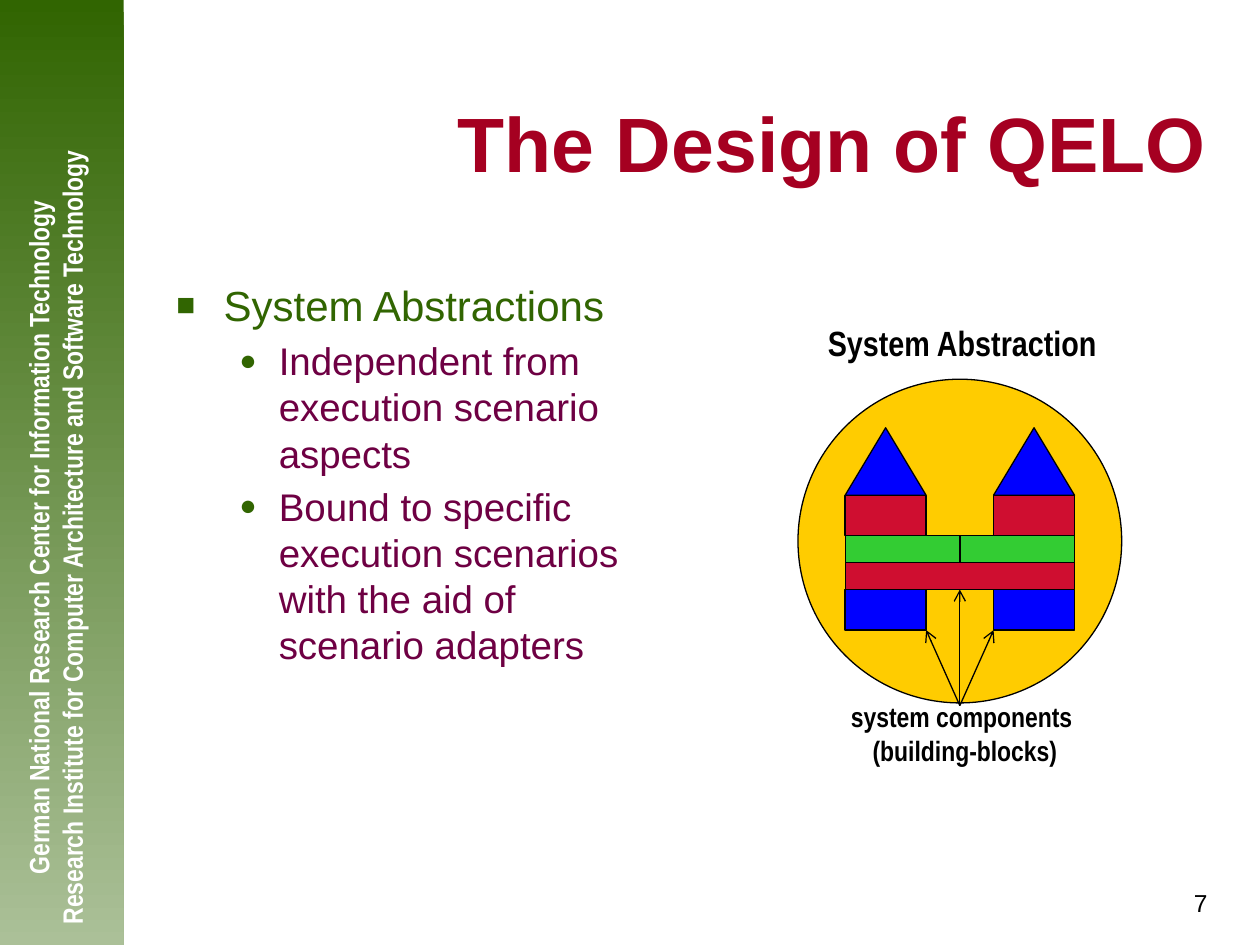
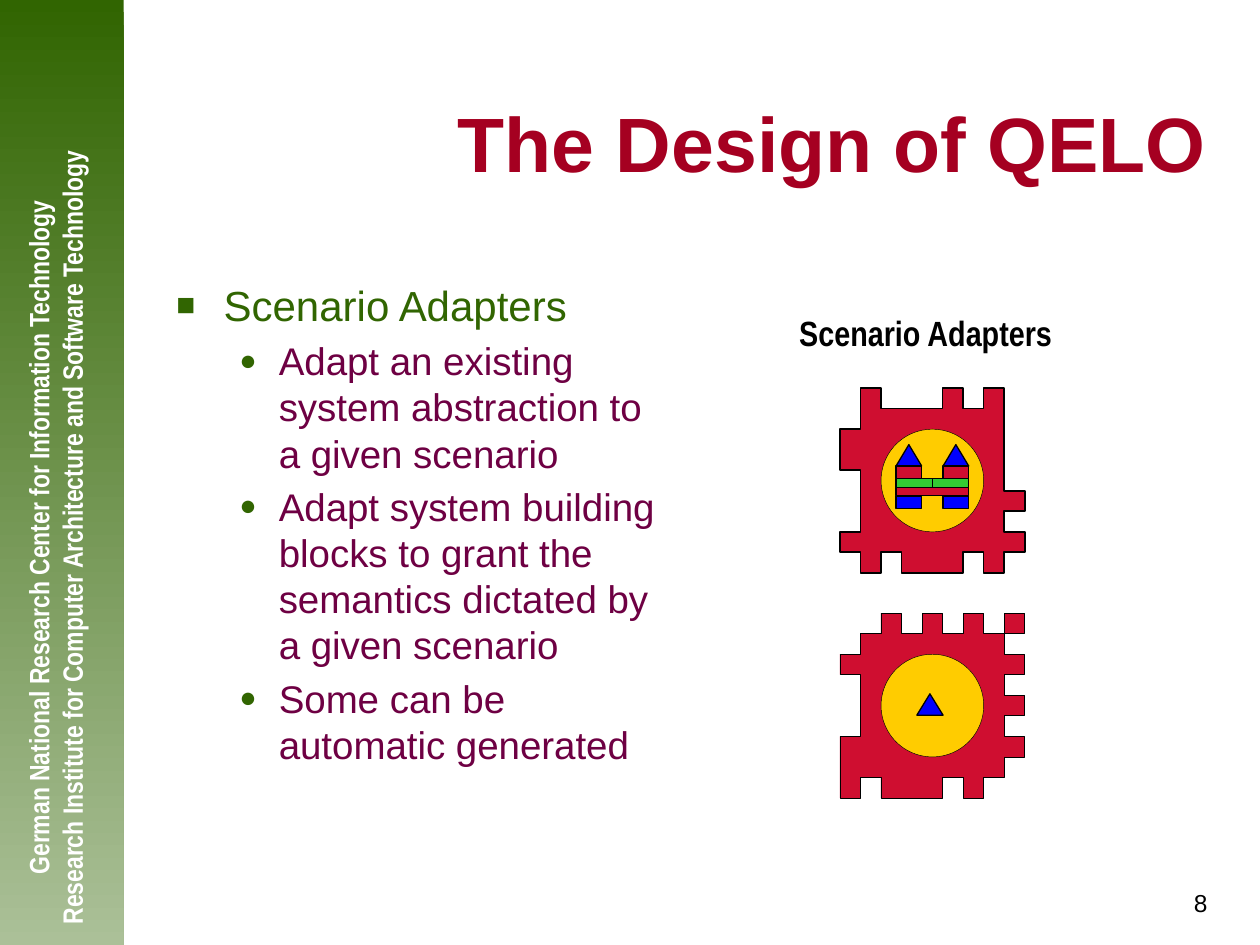
from pptx import Presentation
from pptx.dml.color import RGBColor
from pptx.enum import shapes, text
from pptx.oxml import ns, xmlchemy
from pptx import util as u

COLORS = {
    "band_top": "316501", "band_bottom": "ABC098", "title": "A50021",
    "topic": "316501", "detail": "6E0043", "circle": "FFCC00",
    "blue": "0000FF", "red": "CF0E30", "green": "33CC33",
    "black": "000000", "white": "FFFFFF",
}
SANS, NARROW = "Arial", "Arial Narrow"
TITLE_BOX = (93.6, 36, 603.4, 90)
BODY_BOX = (93.6, 156.2, 296, 336)
NUMBER_BOX = (547.2, 504, 149.8, 23.8)
BAND_BOX = (0, 0, 70.6, 540)
STRAPLINE_BOX = (-199.4, 284.4, 461.6, 45.4)
STRAPLINE = ("German National Research Center for Information Technology\n"
             "Research Institute for Computer Architecture and Software Technology")
CIRCLE_UNITS, HOUSE_UNITS = 24, (17, 15)
HOUSE_OFFSET = (3.5, 3.6)
GRID = 11.73
BUILDING_BLOCKS = [
    ("TRIANGLE", "blue", 0, 0, 6, 5), ("RECTANGLE", "red", 0, 5, 6, 3),
    ("TRIANGLE", "blue", 11, 0, 6, 5), ("RECTANGLE", "red", 11, 5, 6, 3),
    ("RECTANGLE", "green", 0, 8, 8.5, 2), ("RECTANGLE", "green", 8.5, 8, 8.5, 2),
    ("RECTANGLE", "blue", 0, 12, 6, 3), ("RECTANGLE", "blue", 11, 12, 6, 3),
    ("RECTANGLE", "red", 0, 10, 17, 2),
]
ABSTRACTION_ADAPTER = (
    "71 70 80 85 95 96 86 87 97 98 88 89 79 78 68 69 39 38 28 29 19 18 "
    "08 07 17 14 04 02 12 10 20 21 51 50 60 61")
BLOCK_ADAPTER = (
    "11 21 20 30 31 41 40 50 51 61 60 70 71 81 80 90 91 81 82 92 93 83 84 "
    "94 95 85 86 96 97 87 88 78 79 69 68 58 59 29 28 18 19 09 06 16 13 03 02 12")


def rgb(name):
    """Look up a named colour."""
    return RGBColor.from_string(COLORS[name])


def points(*lengths):
    """Convert numbers to point lengths."""
    return [u.Pt(length) for length in lengths]


def add_xml(parent, tag, **attributes):
    """Append a drawing element with the given attributes."""
    element = xmlchemy.OxmlElement(tag)
    for name, value in attributes.items():
        element.set(name, value)
    parent.append(element)
    return element


def format_text(paragraph, size, color, font=SANS, bold=False):
    """Format every run of a paragraph."""
    for run in paragraph.runs:
        run.font.size = u.Pt(size)
        run.font.name = font
        run.font.bold = bold
        run.font.color.rgb = rgb(color)


def place(shape, box):
    """Move a shape to a box."""
    shape.left, shape.top, shape.width, shape.height = points(*box)


def style_shape(shape, color, line_width):
    """Give a shape a flat fill and a black outline."""
    shape.shadow.inherit = False
    shape.fill.solid()
    shape.fill.fore_color.rgb = rgb(color)
    shape.line.color.rgb = rgb("black")
    shape.line.width = u.Pt(line_width)


def add_figure(slide, kind, color, box, line_width=0.75):
    """Add a filled preset shape."""
    shape = slide.shapes.add_shape(
        getattr(shapes.MSO_SHAPE, kind if kind != "TRIANGLE" else "ISOSCELES_TRIANGLE"),
        *points(*box))
    style_shape(shape, color, line_width)
    return shape


def add_label(slide, box, words, size, color="black", font=NARROW, bold=True,
              align="CENTER", wrap=False):
    """Add a text box whose lines share one format."""
    label = slide.shapes.add_textbox(*points(*box))
    frame = label.text_frame
    frame.text = words
    frame.word_wrap = wrap
    frame.vertical_anchor = text.MSO_ANCHOR.MIDDLE
    for paragraph in frame.paragraphs:
        paragraph.alignment = getattr(text.PP_ALIGN, align)
        format_text(paragraph, size, color, font, bold)
    return label


def add_band(slide):
    """Put the gradient band and strapline on the layout of a slide."""
    band = slide.shapes.add_shape(shapes.MSO_SHAPE.RECTANGLE, *points(*BAND_BOX))
    band.shadow.inherit = False
    band.line.fill.background()
    band.fill.gradient()
    band.fill.gradient_angle = 270
    for stop, name in zip(band.fill.gradient_stops, ("band_top", "band_bottom")):
        stop.color.rgb = rgb(name)
    strapline = add_label(slide, STRAPLINE_BOX, STRAPLINE, 16, "white", wrap=True)
    strapline.rotation = 270
    for shape in (band, strapline):
        slide.slide_layout.shapes.element.append(shape.element)


def add_title(slide, words):
    """Fill the title placeholder."""
    title = slide.shapes.title
    place(title, TITLE_BOX)
    frame = title.text_frame
    frame.text = words
    frame.auto_size = text.MSO_AUTO_SIZE.NONE
    frame.vertical_anchor = text.MSO_ANCHOR.MIDDLE
    frame.paragraphs[0].alignment = text.PP_ALIGN.RIGHT
    format_text(frame.paragraphs[0], 44, "title", bold=True)


def add_bullet(paragraph, character, margin, hanging):
    """Give a paragraph a hanging green bullet."""
    properties = paragraph._p.get_or_add_pPr()
    properties.set("marL", str(u.Pt(margin)))
    properties.set("indent", str(-u.Pt(hanging)))
    add_xml(add_xml(properties, "a:buClr"), "a:srgbClr", val=COLORS["topic"])
    add_xml(properties, "a:buSzPct", val="75000")
    add_xml(properties, "a:buFont", typeface=SANS)
    add_xml(properties, "a:buChar", char=character)


def add_body(slide, topic, details):
    """Fill the body placeholder with a topic and its details."""
    body = slide.placeholders[1]
    place(body, BODY_BOX)
    frame = body.text_frame
    frame.text = "\n".join([topic, *details])
    frame.auto_size = text.MSO_AUTO_SIZE.NONE
    heading, *items = frame.paragraphs
    heading.space_before = u.Pt(6)
    add_bullet(heading, "■", 27, 27)
    format_text(heading, 24, "topic")
    for paragraph in items:
        paragraph.level = 1
        paragraph.space_before = u.Pt(4.1)
        add_bullet(paragraph, "●", 58.5, 22.5)
        format_text(paragraph, 22, "detail")


def add_text_slide(presentation, number, topic, details):
    """Add a slide with title, list and number."""
    slide = presentation.slides.add_slide(presentation.slide_layouts[1])
    add_title(slide, "The Design of QELO")
    add_body(slide, topic, details)
    add_label(slide, NUMBER_BOX, str(number), 14, font=SANS, bold=False,
              align="RIGHT", wrap=True)
    return slide


def add_abstraction(slide, left, top, diameter, line_width=0.75):
    """Draw the circle with its building blocks and return the bottom bar."""
    unit = diameter / CIRCLE_UNITS
    add_figure(slide, "OVAL", "circle", (left, top, diameter, diameter), line_width)
    for kind, color, x, y, width, height in BUILDING_BLOCKS:
        block = add_figure(slide, kind, color, (
            left + (HOUSE_OFFSET[0] + x) * unit, top + (HOUSE_OFFSET[1] + y) * unit,
            width * unit, height * unit))
    return block


def add_arrow(slide, start, end, target=None):
    """Draw an arrow, joined to the bottom of a target if there is one."""
    arrow = slide.shapes.add_connector(
        shapes.MSO_CONNECTOR.STRAIGHT, *points(*start, *end))
    if target is not None:
        arrow.end_connect(target, 2)
    arrow.line.color.rgb = rgb("black")
    arrow.line.width = u.Pt(0.75)
    properties = arrow.element.find(ns.qn("p:spPr"))
    add_xml(properties.find(ns.qn("a:ln")), "a:tailEnd", type="arrow")
    add_xml(properties, "a:effectLst")


def add_abstraction_diagram(slide, left, top, diameter):
    """Draw the labelled system abstraction with arrows to its components."""
    bar = add_abstraction(slide, left, top, diameter)
    unit = diameter / CIRCLE_UNITS
    middle = left + diameter / 2
    floor = top + (HOUSE_OFFSET[1] + HOUSE_UNITS[1]) * unit
    start = (middle, top + diameter + 1.5)
    add_arrow(slide, start, (middle, floor - 3 * unit), bar)
    for side in (-1, 1):
        add_arrow(slide, start, (middle + side * 2.5 * unit, floor))
    add_label(slide, (left + 9.3, top - 36.7, 169.2, 31.7), "System Abstraction", 20)
    add_label(slide, (left + 23, top + 179.3, 144.7, 46.1),
              "system components \n(building-blocks)", 16)


def add_adapter(slide, left, top, outline, line_width):
    """Draw a jigsaw piece on a nine by nine grid."""
    corners = [(int(column), int(row)) for column, row in outline.split()]
    builder = slide.shapes.build_freeform(*corners[0], scale=u.Pt(GRID))
    builder.add_line_segments(corners[1:], close=True)
    style_shape(builder.convert_to_shape(*points(left, top)), "red", line_width)


def add_adapter_diagram(slide, left, top):
    """Draw an adapted abstraction above an adapted building block."""
    inset, diameter, lower = 2 * GRID, 5 * GRID, top + 128.6
    add_label(slide, (left - 30.9, top - 47.5, 159.8, 31.7), "Scenario Adapters", 20)
    add_adapter(slide, left, top, ABSTRACTION_ADAPTER, 1)
    add_abstraction(slide, left + inset, top + inset, diameter, 0.25)
    add_adapter(slide, left, lower, BLOCK_ADAPTER, 0.25)
    add_figure(slide, "OVAL", "circle",
               (left + inset, lower + inset, diameter, diameter), 0.25)
    add_figure(slide, "TRIANGLE", "blue", (left + 43.9, lower + 46.1, 15, 12.2))


def main():
    """Build both slides and save them."""
    presentation = Presentation()
    presentation.slide_width, presentation.slide_height = points(720, 540)
    abstractions = add_text_slide(presentation, 7, "System Abstractions", [
        "Independent from execution scenario aspects",
        "Bound to specific execution scenarios with the aid of scenario adapters"])
    add_band(abstractions)
    add_abstraction_diagram(abstractions, 456, 216.7, 185)
    adapters = add_text_slide(presentation, 8, "Scenario Adapters", [
        "Adapt an existing system abstraction to a given scenario",
        "Adapt system building blocks to grant the semantics dictated by a given scenario",
        "Some can be automatic generated"])
    add_adapter_diagram(adapters, 480, 221.8)
    presentation.save("out.pptx")


if __name__ == "__main__":
    main()
